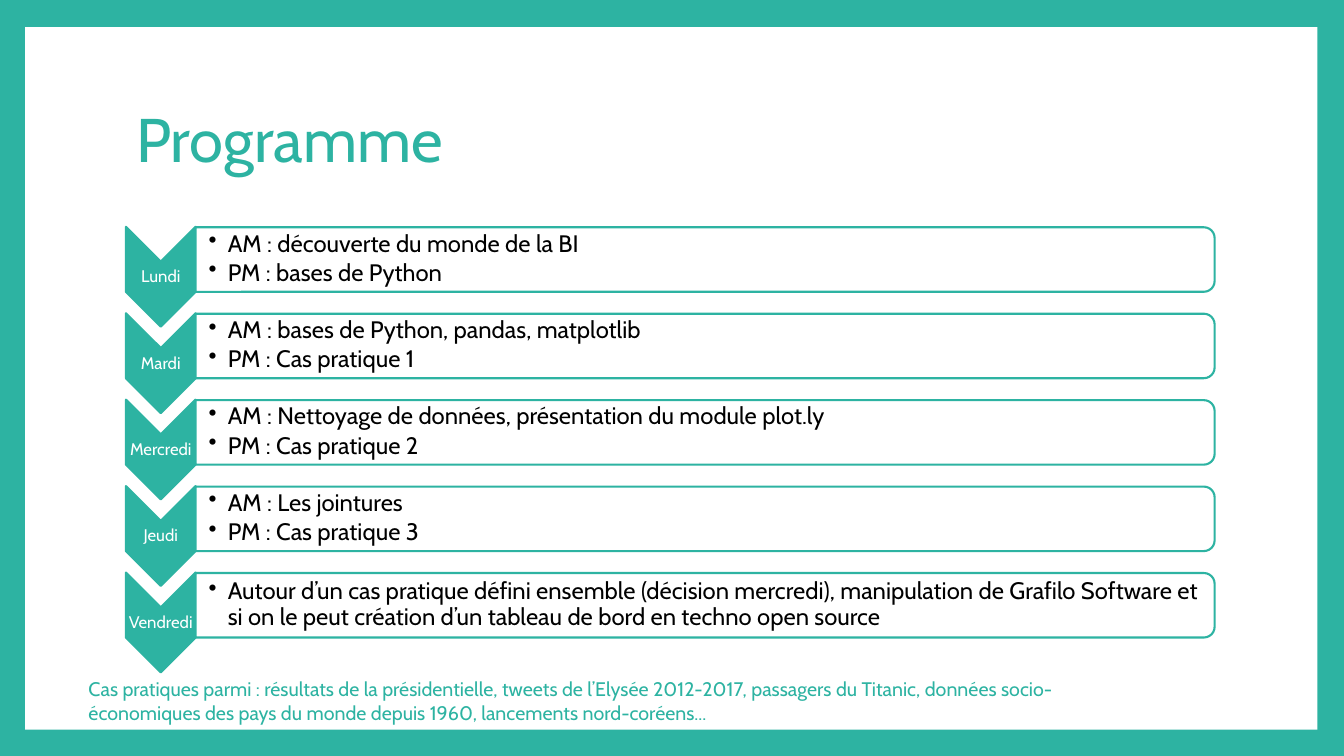
from dataclasses import dataclass

from lxml import etree
from pptx import Presentation
from pptx.dml.color import RGBColor
from pptx.enum.shapes import MSO_SHAPE
from pptx.enum.text import MSO_ANCHOR, MSO_AUTO_SIZE, PP_ALIGN
from pptx.oxml.ns import qn
from pptx.shapes.autoshape import Shape
from pptx.slide import Slide
from pptx.text.text import TextFrame, _Paragraph
from pptx.util import Inches, Pt

RECTANGLE = MSO_SHAPE.RECTANGLE
CHEVRON = MSO_SHAPE.CHEVRON
ROUND_TOP = MSO_SHAPE.ROUND_2_SAME_RECTANGLE
MIDDLE = MSO_ANCHOR.MIDDLE
LEFT, CENTER = PP_ALIGN.LEFT, PP_ALIGN.CENTER
FIXED_SIZE = MSO_AUTO_SIZE.NONE

COLORS = {"teal": "2DB3A2", "white": "FFFFFF", "black": "000000"}
FONT = "Cabin"
SLIDE_WIDTH, SLIDE_HEIGHT = Inches(13.333), Inches(7.5)
COLUMN, ROW = SLIDE_WIDTH / 40, SLIDE_HEIGHT / 30
FIRST_DAY_TOP, DAY_PITCH = 9.0, 3.43
BULLET_INDENT = Inches(0.19)


@dataclass(frozen=True)
class Area:
    """A place on the slide, in grid columns and rows."""
    left: float
    top: float
    width: float
    height: float

    def down(self, rows: float) -> "Area":
        return Area(self.left, self.top + rows, self.width, self.height)

    def emu(self) -> tuple[int, int, int, int]:
        return (round(self.left * COLUMN), round(self.top * ROW),
                round(self.width * COLUMN), round(self.height * ROW))


@dataclass(frozen=True)
class Day:
    name: str
    sessions: tuple[str, ...]


FRAME = Area(0.75, 1.08, 38.46, 27.88)
TITLE = Area(3.75, 2.68, 32.4, 5.92)
FOOTNOTE = Area(2.34, 26.68, 29.88, 2.28)
# Parts of one day, measured down from the top of that day
DAY_ARROW = Area(3.75, 0, 2.07, 3.96)
DAY_NAME = Area(3.75, 1.4, 2.07, 1.2)
DAY_PANEL = Area(5.82, 0.02, 30.33, 2.56)
DAY_SESSIONS = Area(5.82, 0.12, 30.21, 2.32)

DAYS = (
    Day("Lundi", ("AM : découverte du monde de la BI", "PM : bases de Python")),
    Day("Mardi", ("AM : bases de Python, pandas, matplotlib", "PM : Cas pratique 1")),
    Day("Mercredi", ("AM : Nettoyage de données, présentation du module plot.ly",
                     "PM : Cas pratique 2")),
    Day("Jeudi", ("AM : Les jointures", "PM : Cas pratique 3")),
    Day("Vendredi", ("Autour d’un cas pratique défini ensemble (décision mercredi), "
                     "manipulation de Grafilo Software et si on le peut création d’un "
                     "tableau de bord en techno open source",)),
)
CASES = ("Cas pratiques parmi : résultats de la présidentielle, tweets de l’Elysée "
         "2012-2017, passagers du Titanic, données socio-économiques des pays du monde "
         "depuis 1960, lancements nord-coréens...")


def rgb(color: str) -> RGBColor:
    return RGBColor.from_string(COLORS[color])


def add_run(paragraph: _Paragraph, text: str, size: float, color: str) -> None:
    run = paragraph.add_run()
    run.text = text
    run.font.name = FONT
    run.font.size = Pt(size)
    run.font.color.rgb = rgb(color)


def add_filled(slide: Slide, preset: MSO_SHAPE, area: Area, fill: str) -> Shape:
    shape = slide.shapes.add_shape(preset, *area.emu())
    shape.shadow.inherit = False
    shape.fill.solid()
    shape.fill.fore_color.rgb = rgb(fill)
    shape.line.fill.background()
    return shape


def add_turned(slide: Slide, preset: MSO_SHAPE, area: Area, fill: str) -> None:
    """Draw an outlined shape that fills the area after a quarter turn."""
    shape = add_filled(slide, preset, area, fill)
    left, top, width, height = area.emu()
    shape.left, shape.top = left + (width - height) // 2, top + (height - width) // 2
    shape.width, shape.height = height, width
    shape.rotation = 90
    shape.line.color.rgb = rgb("teal")
    shape.line.width = Pt(1.5)


def add_text_area(slide: Slide, area: Area) -> TextFrame:
    frame = slide.shapes.add_textbox(*area.emu()).text_frame
    frame.word_wrap = True
    return frame


def add_day_text(slide: Slide, area: Area, left_margin: float) -> TextFrame:
    frame = add_text_area(slide, area)
    frame.vertical_anchor = MIDDLE
    frame.margin_left = Inches(left_margin)
    frame.margin_top = frame.margin_right = frame.margin_bottom = Inches(0.01)
    return frame


def add_bullet(paragraph: _Paragraph) -> None:
    properties = paragraph._p.get_or_add_pPr()
    properties.set("marL", str(BULLET_INDENT))
    properties.set("indent", str(-BULLET_INDENT))
    etree.SubElement(properties, qn("a:buChar")).set("char", "•")


def add_day(slide: Slide, day: Day, top: float) -> None:
    add_turned(slide, CHEVRON, DAY_ARROW.down(top), "teal")
    name = add_day_text(slide, DAY_NAME.down(top), 0.01).paragraphs[0]
    name.alignment = CENTER
    name.line_spacing = 0.9
    name.space_after = Pt(4.2)
    add_run(name, day.name, 12, "white")

    add_turned(slide, ROUND_TOP, DAY_PANEL.down(top), "white")
    sessions = add_day_text(slide, DAY_SESSIONS.down(top), 0.13)
    for index, session in enumerate(day.sessions):
        paragraph = sessions.add_paragraph() if index else sessions.paragraphs[0]
        add_bullet(paragraph)
        paragraph.line_spacing = 0.9
        paragraph.space_after = Pt(2.55)
        add_run(paragraph, session, 17, "black")


def add_title(slide: Slide, text: str) -> None:
    title = slide.shapes.title
    title.left, title.top, title.width, title.height = TITLE.emu()
    title.text_frame.auto_size = FIXED_SIZE
    title.text_frame.vertical_anchor = MIDDLE
    paragraph = title.text_frame.paragraphs[0]
    paragraph.alignment = LEFT
    paragraph.line_spacing = 0.9
    add_run(paragraph, text, 44, "teal")


def main() -> None:
    deck = Presentation()
    deck.slide_width, deck.slide_height = SLIDE_WIDTH, SLIDE_HEIGHT
    slide = deck.slides.add_slide(deck.slide_layouts.get_by_name("Title Only"))
    slide.background.fill.solid()
    slide.background.fill.fore_color.rgb = rgb("teal")

    page = add_filled(slide, RECTANGLE, FRAME, "white")
    slide.shapes.title._element.addprevious(page._element)
    add_title(slide, "Programme")
    for index, day in enumerate(DAYS):
        add_day(slide, day, FIRST_DAY_TOP + index * DAY_PITCH)
    add_run(add_text_area(slide, FOOTNOTE).paragraphs[0], CASES, 14, "teal")
    deck.save("out.pptx")


if __name__ == "__main__":
    main()
